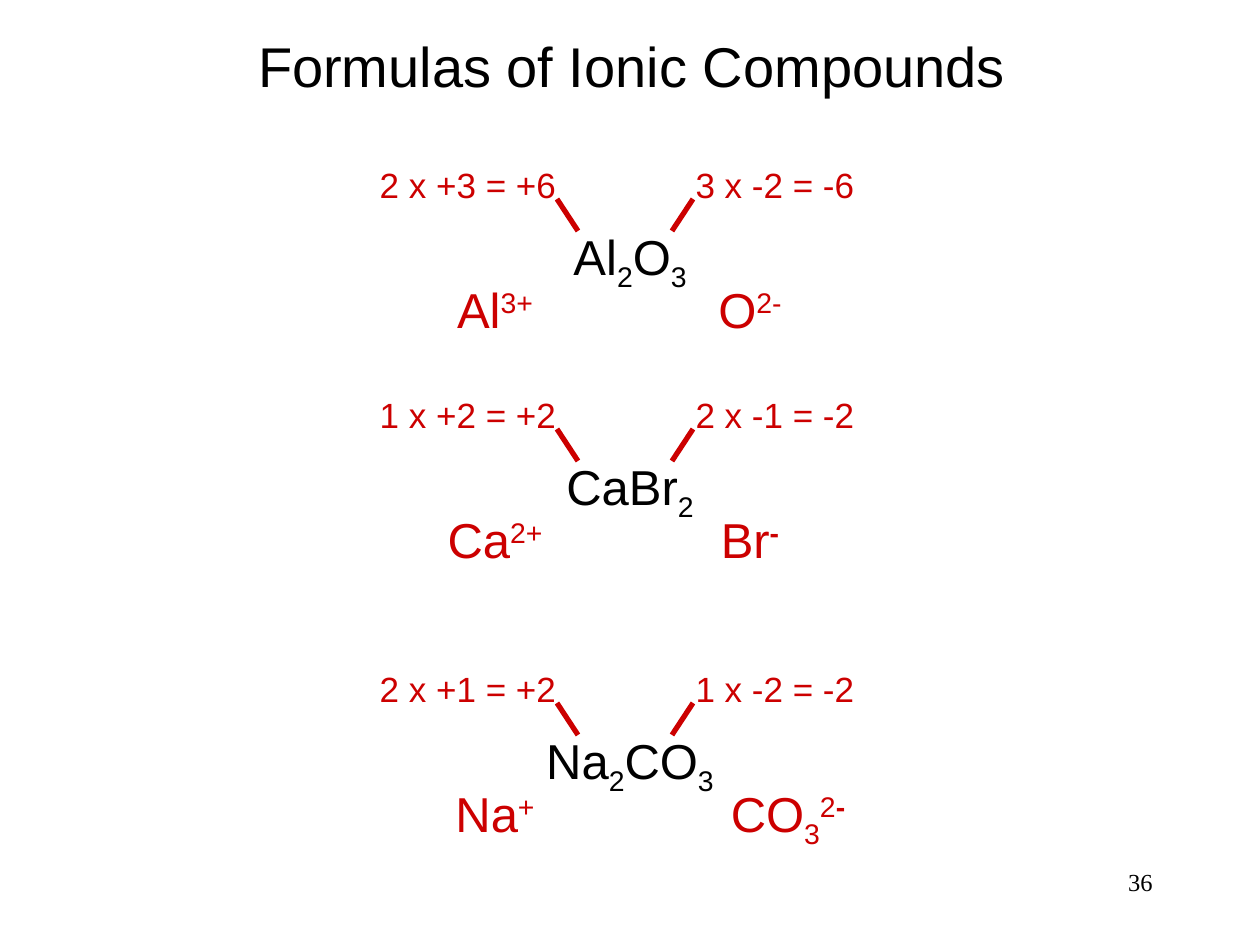
from lxml.etree import SubElement
from pptx import Presentation
from pptx.dml.color import RGBColor
from pptx.enum.shapes import MSO_CONNECTOR as Connector
from pptx.enum.text import MSO_ANCHOR as Anchor, MSO_AUTO_SIZE as AutoSize, PP_ALIGN as Align
from pptx.oxml.ns import qn
from pptx.util import Inches, Pt

PX = Inches(1) / 126
COLORS = {"text": "000000", "charge": "CC0000"}
SUB, SUPER = -25000, 30000
CENTER = 630
COMPOUNDS = [
    {
        "top": 157,
        "sums": ("2 x +3 = +6", "3 x -2 = -6"),
        "formula": (142, [("Al",), ("2", SUB), ("O",), ("3", SUB)]),
        "cation": (495, 106, [("Al",), ("3+", SUPER)]),
        "anion": (750, 94, [("O",), ("2-", SUPER)]),
    },
    {
        "top": 387,
        "sums": ("1 x +2 = +2", "2 x -1 = -2"),
        "formula": (156, [("CaBr",), ("2", SUB)]),
        "cation": (495, 124, [("Ca",), ("2+", SUPER)]),
        "anion": (750, 90, [("Br",), ("-", SUPER, True)]),
    },
    {
        "top": 661,
        "sums": ("2 x +1 = +2", "1 x -2 = -2"),
        "formula": (196, [("Na",), ("2", SUB), ("CO",), ("3", SUB)]),
        "cation": (495, 110, [("Na",), ("+", SUPER)]),
        "anion": (788, 146, [("CO",), ("3", SUB), ("2", SUPER), ("-", SUPER, True)]),
    },
]


def px(*lengths):
    """Turn pixel lengths into EMU."""
    return [round(length * PX) for length in lengths]


def add_run(paragraph, text, baseline=0, bold=False, *, size, color, font="Arial"):
    """Add one formatted run, raised or lowered by its baseline."""
    run = paragraph.add_run()
    run.text = text
    run.font.size = Pt(size)
    run.font.name = font
    run.font.color.rgb = RGBColor.from_string(COLORS[color])
    if bold:
        run.font.bold = True
    if baseline:
        run._r.get_or_add_rPr().set("baseline", str(baseline))


def add_label(shapes, middle, top, width, height, pieces, size, color):
    """Add a text box centred on a horizontal position."""
    label = shapes.add_textbox(*px(middle - width / 2, top, width, height))
    frame = label.text_frame
    frame.word_wrap = False
    frame.auto_size = AutoSize.SHAPE_TO_FIT_TEXT
    paragraph = frame.paragraphs[0]
    paragraph.alignment = Align.CENTER
    for piece in pieces:
        add_run(paragraph, *piece, size=size, color=color)


def add_pointer(shapes, *ends):
    """Add a line from a charge sum to its element."""
    pointer = shapes.add_connector(Connector.STRAIGHT, *px(*ends))
    pointer.line.color.rgb = RGBColor.from_string(COLORS["charge"])
    pointer.line.width = Pt(3)
    SubElement(pointer._element.spPr, qn("a:effectLst"))


def add_compound(shapes, top, sums, formula, cation, anion):
    """Add a formula with its charge sums, pointers and ions."""
    width, pieces = formula
    add_label(shapes, CENTER, top + 63, width, 79, pieces, 28, "text")
    charges = shapes.add_group_shape().shapes
    sides = [(468, 204, 557, 578), (775, 186, 693, 672)]
    for charge_sum, (middle, width, start, end) in zip(sums, sides):
        add_label(charges, middle, top, width, 55, [(charge_sum,)], 20, "charge")
        add_pointer(charges, start, top + 42, end, top + 74)
    for middle, width, pieces in (cation, anion):
        add_label(shapes, middle, top + 116, width, 72, pieces, 28, "charge")


def set_title(title, text):
    """Place and fill the title placeholder."""
    title.left, title.top, title.width, title.height = px(240, 25, 784, 81)
    frame = title.text_frame
    frame.word_wrap = False
    frame.auto_size = AutoSize.NONE
    frame.vertical_anchor = Anchor.TOP
    paragraph = frame.paragraphs[0]
    paragraph.alignment = Align.CENTER
    add_run(paragraph, text, size=32, color="text")


def add_page_number(shapes, number):
    """Add the right-aligned page number."""
    frame = shapes.add_textbox(*px(903, 861, 262, 63)).text_frame
    frame.word_wrap = True
    paragraph = frame.paragraphs[0]
    paragraph.alignment = Align.RIGHT
    add_run(paragraph, number, size=14, color="text", font="Times New Roman")


def main():
    """Build and save the slide."""
    deck = Presentation()
    deck.slide_width, deck.slide_height = px(1260, 945)
    shapes = deck.slides.add_slide(deck.slide_layouts[5]).shapes
    set_title(shapes.title, "Formulas of Ionic Compounds")
    for compound in COMPOUNDS:
        add_compound(shapes, **compound)
    add_page_number(shapes, "36")
    deck.save("out.pptx")


if __name__ == "__main__":
    main()
